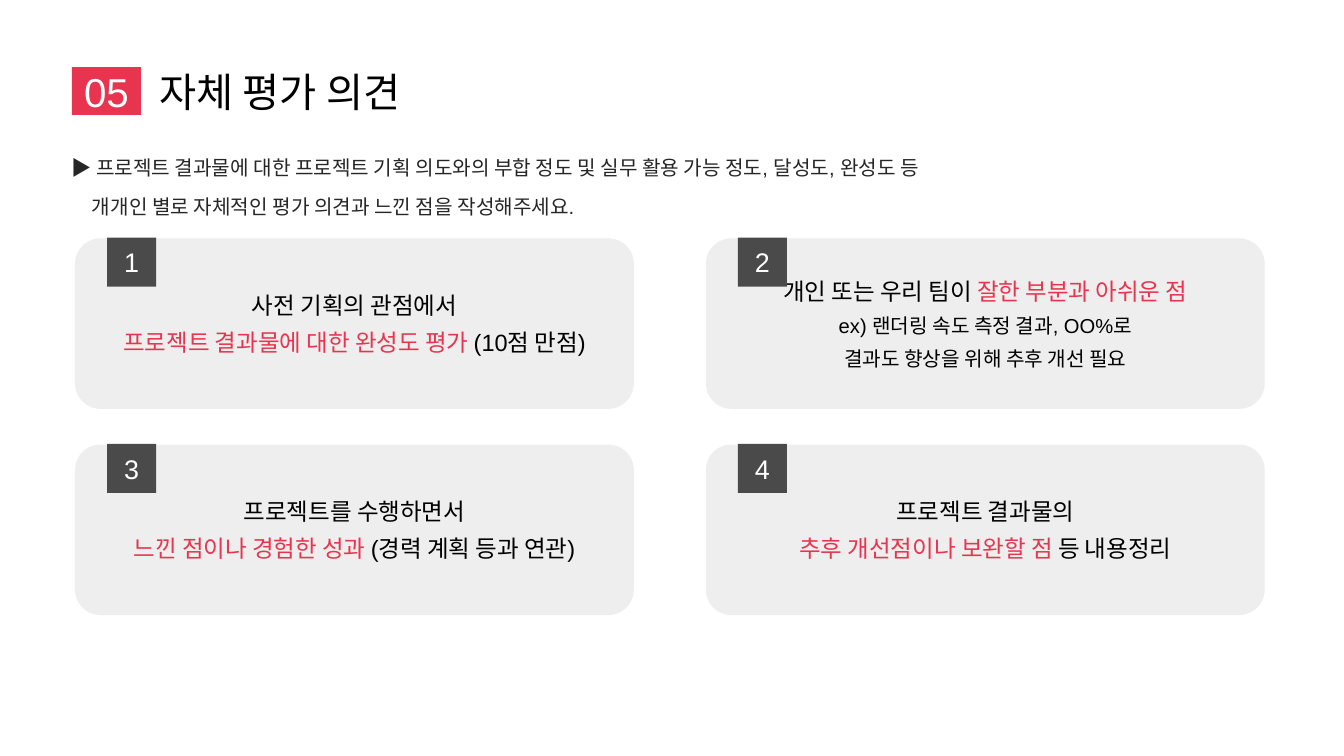
from pptx import Presentation
from pptx.dml.color import RGBColor
from pptx.enum.shapes import MSO_SHAPE as SHAPE
from pptx.enum.text import MSO_ANCHOR as ANCHOR, PP_ALIGN as ALIGN
from pptx.util import Pt

PX = 9144
COLORS = {
    "red": "E8344E",
    "white": "FFFFFF",
    "black": "000000",
    "ink": "262626",
    "card": "EEEEEE",
    "badge": "4A4A4A",
}
TITLE_BOX = (119, 111, 1000, 79)
GUIDE_BOX = (118, 247, 1979, 108)
CARD_LEFT, CARD_TOP = 124, 394
CARD_WIDTH, CARD_HEIGHT = 924, 282
COLUMN_STEP, ROW_STEP = 1043, 341
BADGE_SIZE, BADGE_INSET = 81, 53

GUIDE = [
    [("▶ 프로젝트 결과물에 대한 프로젝트 기획 의도와의 부합 정도 및 실무 활용 가능 정도, 달성도, 완성도 등", "ink", 24)],
    [("개개인 별로 자체적인 평가 의견과 느낀 점을 작성해주세요.", "ink", 24)],
]
CARDS = [
    [
        [("사전 기획의 관점에서", "black", 28)],
        [("프로젝트 결과물에 대한 완성도 평가", "red", 28), (" (10점 만점)", "black", 28)],
    ],
    [
        [("개인 또는 우리 팀이 ", "black", 28), ("잘한 부분과 아쉬운 점", "red", 28)],
        [("ex) 랜더링 속도 측정 결과, OO%로", "black", 24)],
        [("결과도 향상을 위해 추후 개선 필요", "black", 24)],
    ],
    [
        [("프로젝트를 수행하면서", "black", 28)],
        [("느낀 점이나 경험한 성과", "red", 28), (" (경력 계획 등과 연관)", "black", 28)],
    ],
    [
        [("프로젝트 결과물의", "black", 28)],
        [("추후 개선점이나 보완할 점", "red", 28), (" 등 내용정리", "black", 28)],
    ],
]


def write_text(shape, lines, align=ALIGN.CENTER, anchor=ANCHOR.MIDDLE, line_spacing=None, hanging=0):
    frame = shape.text_frame
    frame.word_wrap = True
    frame.vertical_anchor = anchor
    frame.margin_left = frame.margin_right = frame.margin_top = frame.margin_bottom = 0
    for index, line in enumerate(lines):
        para = frame.add_paragraph() if index else frame.paragraphs[0]
        para.alignment = align
        para.line_spacing = line_spacing
        if index:
            para.space_before = Pt(10)
            if hanging:
                para._p.get_or_add_pPr().set("marL", str(hanging * PX))
        for text, color, size in line:
            span = para.add_run()
            span.text = text
            span.font.name = "Arial"
            span.font.size = Pt(size)
            span.font.color.rgb = RGBColor.from_string(COLORS[color])


def add_box(page, kind, box, color):
    shape = page.shapes.add_shape(kind, *(value * PX for value in box))
    shape.shadow.inherit = False
    shape.fill.solid()
    shape.fill.fore_color.rgb = RGBColor.from_string(COLORS[color])
    shape.line.fill.background()
    return shape


def add_text_box(page, box):
    return page.shapes.add_textbox(*(value * PX for value in box))


def add_title(page, box, number, title):
    left, top, width, height = box
    number_box = add_box(page, SHAPE.RECTANGLE, (left, top, 114, height), "red")
    write_text(number_box, [[(number, "white", 48)]], anchor=ANCHOR.TOP)
    title_box = add_text_box(page, (left + 145, top - 11, width - 145, height + 22))
    write_text(title_box, [[(title, "black", 48)]], align=ALIGN.LEFT)


def add_guide(page, box):
    write_text(add_text_box(page, box), GUIDE, align=ALIGN.LEFT, anchor=ANCHOR.TOP,
               line_spacing=1.25, hanging=34)


def add_card(page, box, number, lines):
    left, top, width, height = box
    card = add_box(page, SHAPE.ROUNDED_RECTANGLE, box, "card")
    card.adjustments[0] = 0.15
    write_text(card, lines)
    badge_box = (left + BADGE_INSET, top - 1, BADGE_SIZE, BADGE_SIZE)
    badge = add_box(page, SHAPE.RECTANGLE, badge_box, "badge")
    write_text(badge, [[(str(number), "white", 32)]])


def main():
    deck = Presentation()
    deck.slide_width, deck.slide_height = 2222 * PX, 1250 * PX
    page = deck.slides.add_slide(deck.slide_layouts[6])
    add_title(page, TITLE_BOX, "05", "자체 평가 의견")
    add_guide(page, GUIDE_BOX)
    for index, lines in enumerate(CARDS):
        row, column = divmod(index, 2)
        box = (CARD_LEFT + column * COLUMN_STEP, CARD_TOP + row * ROW_STEP, CARD_WIDTH, CARD_HEIGHT)
        add_card(page, box, index + 1, lines)
    deck.save("out.pptx")


if __name__ == "__main__":
    main()
